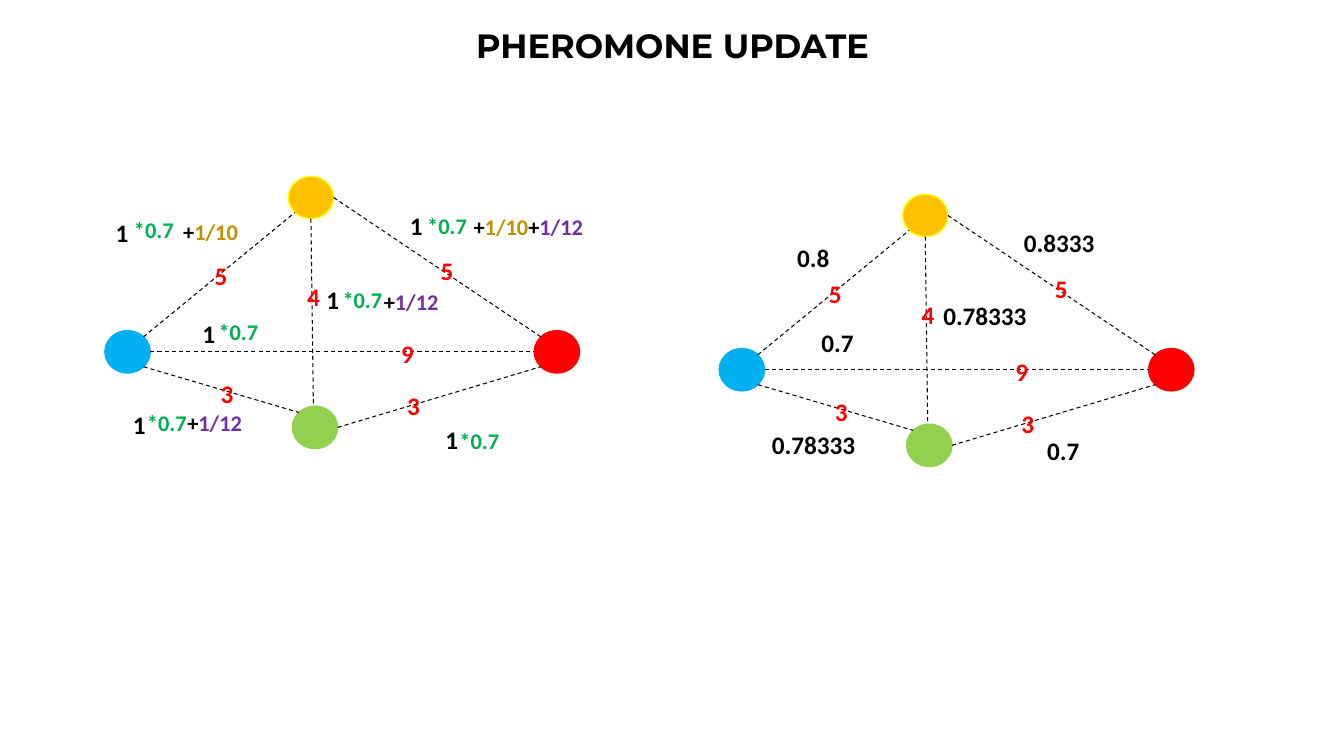
import math

import pptx
import pptx.dml.color
import pptx.enum.dml
import pptx.enum.shapes
import pptx.enum.text
import pptx.oxml
import pptx.util

Pt = pptx.util.Pt

COLORS = {
    "black": "000000", "red": "FF0000", "blue": "00B0F0", "lime": "92D050",
    "amber": "FFC000", "yellow": "FFFF00", "green": "00B050",
    "gold": "BF9000", "purple": "7030A0",
}
TITLE = "PHEROMONE UPDATE"

NODE_WIDTH, NODE_HEIGHT = 32.4, 30.2
# name: (left, top, fill, outline)
NODES = {
    "west": (74.9, 236.2, "blue", "blue"),
    "south": (208.8, 290.2, "lime", "lime"),
    "north": (205.9, 126, "amber", "yellow"),
    "east": (381.6, 236.2, "red", "red"),
}
# (start node, angle on its rim, end node, angle on its rim), clockwise from the right
EDGES = [
    ("west", 0, "east", 180),
    ("north", 0, "east", 225),
    ("west", 315, "north", 135),
    ("south", 0, "east", 135),
    ("west", 45, "south", 225),
    ("north", 90, "south", 266),
]
# (length, left, top)
LENGTHS = [
    ("5", 146.2, 182.7), ("9", 279.4, 238.3), ("4", 212.4, 197.3),
    ("5", 307.6, 178.6), ("3", 150.5, 266.4), ("3", 283.7, 275),
]
GRAPH_OFFSETS = [(0, 0), (438.8, 12.8)]

# (left, top) of the old pheromone and of its evaporation factor
EVAPORATION = [
    ((75.6, 151.9), (88.6, 151.2)),
    ((285.8, 146.9), (298.1, 148.3)),
    ((226.1, 199.4), (237.6, 200.9)),
    ((87.8, 288.7), (97.9, 288.7)),
    ((311, 299.5), (321.1, 301.7)),
    ((137.5, 223.9), (149, 223.9)),
]
FIRST_ANT = [("+", "black"), ("1/10", "gold")]
SECOND_ANT = [("+", "black"), ("1/12", "purple")]
# (runs, left, top, width)
DEPOSITS = [
    (FIRST_ANT, 123.8, 152.6, 62.6),
    (FIRST_ANT + SECOND_ANT, 331.2, 149, 95),
    (SECOND_ANT, 267.1, 202.3, 58),
    (SECOND_ANT, 126.7, 288.7, 58.3),
]
# (value, left, top, width)
RESULTS = [
    ("0.8", 562.3, 169.2, 48.2), ("0.8333", 724.3, 159.1, 67.7),
    ("0.78333", 666.7, 211, 75), ("0.78333", 544.3, 303.1, 75),
    ("0.7", 740.9, 307.4, 48.2), ("0.7", 579.6, 230.4, 48.2),
]


def color(name):
    return pptx.dml.color.RGBColor.from_string(COLORS[name])


def format_run(span, size, name, face="Calibri"):
    span.font.size = Pt(size)
    span.font.bold = True
    span.font.name = face
    span.font.color.rgb = color(name)


def add_label(shapes, runs, left, top, width, size=18, height=28.8):
    box = shapes.add_textbox(Pt(left), Pt(top), Pt(width), Pt(height))
    box.text_frame.word_wrap = True
    para = box.text_frame.paragraphs[0]
    for text, name in runs:
        span = para.add_run()
        span.text = text
        format_run(span, size, name)


def rim_point(node, angle, offset):
    left, top = NODES[node][:2]
    turn = math.radians(angle)
    return (Pt(left + offset[0] + NODE_WIDTH / 2 * (1 + math.cos(turn))),
            Pt(top + offset[1] + NODE_HEIGHT / 2 * (1 + math.sin(turn))))


def add_graph(page, offset):
    shapes = page.shapes.add_group_shape().shapes
    across, down = offset
    for left, top, fill, outline in NODES.values():
        node = shapes.add_shape(
            pptx.enum.shapes.MSO_SHAPE.OVAL, Pt(left + across), Pt(top + down),
            Pt(NODE_WIDTH), Pt(NODE_HEIGHT))
        node.shadow.inherit = False
        node.fill.solid()
        node.fill.fore_color.rgb = color(fill)
        node.line.color.rgb = color(outline)
        node.line.width = Pt(1)
    for start, start_angle, end, end_angle in EDGES:
        edge = shapes.add_connector(
            pptx.enum.shapes.MSO_CONNECTOR.STRAIGHT,
            *rim_point(start, start_angle, offset), *rim_point(end, end_angle, offset))
        edge.line.color.rgb = color("black")
        edge.line.width = Pt(0.75)
        edge.line.dash_style = pptx.enum.dml.MSO_LINE.DASH
        properties = edge._element.spPr
        properties.append(properties.makeelement(pptx.oxml.ns.qn("a:effectLst"), {}))
    for length, left, top in LENGTHS:
        add_label(shapes, [(length, "red")], left + across, top + down, 24.5, height=41.8)


def add_title(page):
    title = page.shapes.title
    title.left, title.top, title.width, title.height = Pt(182.2), Pt(14.4), Pt(596.2), Pt(36)
    title.text_frame.text = TITLE
    title.text_frame.vertical_anchor = pptx.enum.text.MSO_ANCHOR.MIDDLE
    para = title.text_frame.paragraphs[0]
    para.alignment = pptx.enum.text.PP_ALIGN.CENTER
    format_run(para.runs[0], 24, "black", "Montserrat")


def main():
    deck = pptx.Presentation()
    deck.slide_width, deck.slide_height = Pt(960), Pt(540)
    page = deck.slides.add_slide(deck.slide_layouts.get_by_name("Title Only"))
    add_title(page)
    for offset in GRAPH_OFFSETS:
        add_graph(page, offset)
    for old_place, factor_place in EVAPORATION:
        add_label(page.shapes, [("1", "black")], *old_place, 48.2)
        add_label(page.shapes, [("*0.7", "green")], *factor_place, 46, 16, 26.6)
    for runs, left, top, width in DEPOSITS:
        add_label(page.shapes, runs, left, top, width, 16, 26.6)
    for value, left, top, width in RESULTS:
        add_label(page.shapes, [(value, "black")], left, top, width)
    deck.save("out.pptx")


if __name__ == "__main__":
    main()
